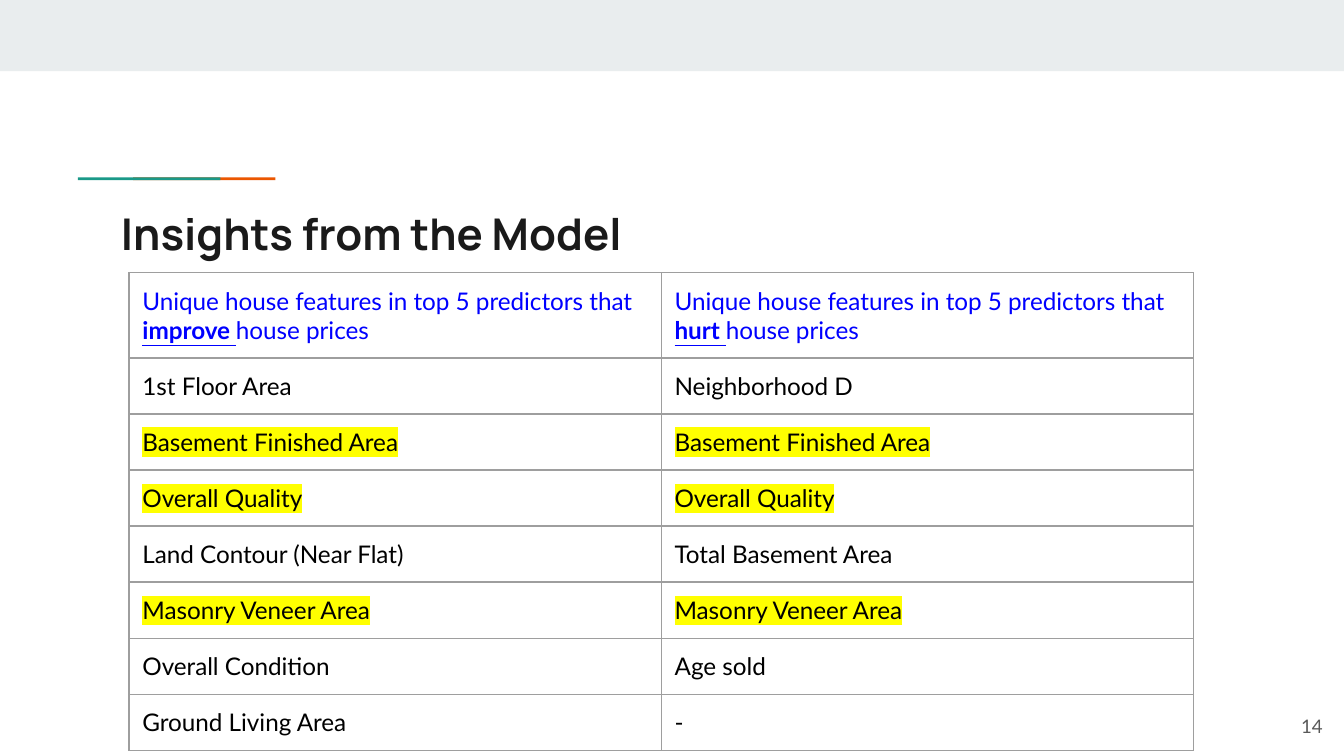
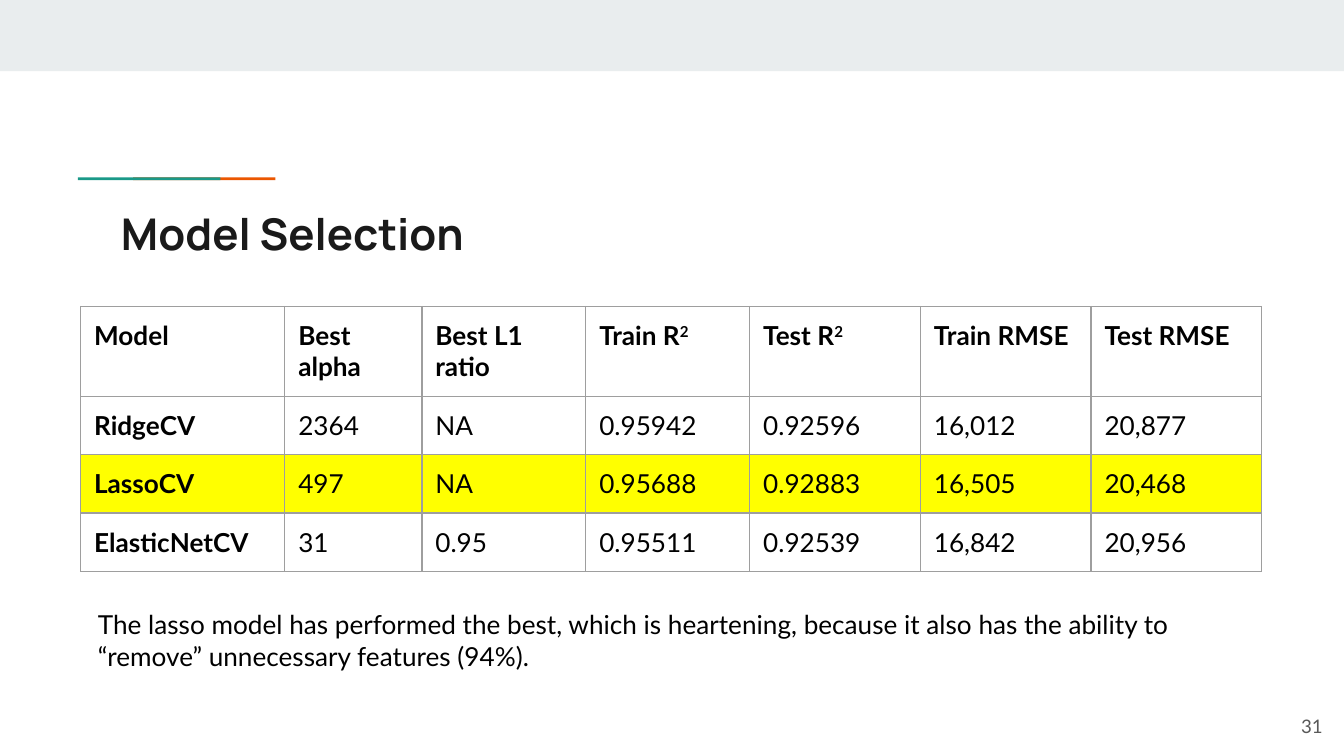
from lxml import etree
from pptx import Presentation
from pptx.dml.color import RGBColor
from pptx.enum.shapes import MSO_SHAPE
from pptx.enum.text import MSO_ANCHOR, MSO_AUTO_SIZE, PP_ALIGN
from pptx.oxml.ns import qn
from pptx.util import Inches, Pt

RECTANGLE = MSO_SHAPE.RECTANGLE
TOP, MIDDLE = MSO_ANCHOR.TOP, MSO_ANCHOR.MIDDLE
LEFT, RIGHT = PP_ALIGN.LEFT, PP_ALIGN.RIGHT
NO_AUTOFIT = MSO_AUTO_SIZE.NONE

WHITE = RGBColor(0xFF, 0xFF, 0xFF)
BAND = RGBColor(0xE9, 0xED, 0xEE)
ORANGE = RGBColor(0xEB, 0x56, 0x00)
TEAL = RGBColor(0x1A, 0x99, 0x88)
TITLE_INK = RGBColor(0x1A, 0x1A, 0x1A)
PAGE_INK = RGBColor(0x59, 0x59, 0x59)
BLACK = RGBColor(0x00, 0x00, 0x00)
BLUE = RGBColor(0x00, 0x00, 0xFF)
YELLOW = RGBColor(0xFF, 0xFF, 0x00)
GRID = RGBColor(0x9E, 0x9E, 0x9E)

TITLE_FONT, BODY_FONT = "Manrope", "Lato"
SLIDE_WIDTH = Inches(10)
SLIDE_HEIGHT = SLIDE_WIDTH * 9 // 16
INSET = Inches(0.1)

FEATURES = [
    ("1st Floor Area", "Neighborhood D"),
    ("Basement Finished Area", "Basement Finished Area"),
    ("Overall Quality", "Overall Quality"),
    ("Land Contour (Near Flat)", "Total Basement Area"),
    ("Masonry Veneer Area", "Masonry Veneer Area"),
    ("Overall Condition", "Age sold"),
    ("Ground Living Area", "-"),
]
SCORE_HEADINGS = ["Model", "Best alpha", "Best L1 ratio", "Train R²", "Test R²",
                  "Train RMSE", "Test RMSE"]
SCORES = [
    ("RidgeCV", "2364", "NA", "0.95942", "0.92596", "16,012", "20,877"),
    ("LassoCV", "497", "NA", "0.95688", "0.92883", "16,505", "20,468"),
    ("ElasticNetCV", "31", "0.95", "0.95511", "0.92539", "16,842", "20,956"),
]
BEST_MODEL = "LassoCV"
CONCLUSION = ("The lasso model has performed the best, which is heartening, because it also "
              "has the ability to “remove” unnecessary features (94%).")


def add_solid(parent, color):
    solid = etree.SubElement(parent, qn("a:solidFill"))
    etree.SubElement(solid, qn("a:srgbClr"), val=str(color))


def add_run(paragraph, text, size, color=BLACK, font=BODY_FONT, bold=False,
            underline=False, highlight=None, superscript=False):
    run = paragraph.add_run()
    run.text = text
    run.font.size = Pt(size)
    run.font.name = font
    run.font.bold = bold
    run.font.underline = underline
    run.font.color.rgb = color
    properties = run.font._element
    ink = properties.find(qn("a:solidFill"))
    if superscript:
        properties.set("baseline", "30000")
    if underline:
        rule = etree.Element(qn("a:uFill"))
        add_solid(rule, color)
        ink.addnext(rule)
    if highlight:
        marker = etree.Element(qn("a:highlight"))
        etree.SubElement(marker, qn("a:srgbClr"), val=str(highlight))
        ink.addnext(marker)


def set_frame(frame, anchor=TOP):
    frame.word_wrap = True
    frame.auto_size = NO_AUTOFIT
    frame.vertical_anchor = anchor
    frame.margin_left = frame.margin_right = INSET
    frame.margin_top = frame.margin_bottom = INSET
    return frame.paragraphs[0]


def add_bar(slide, box, color):
    bar = slide.shapes.add_shape(RECTANGLE, *map(Inches, box))
    bar.shadow.inherit = False
    bar.fill.solid()
    bar.fill.fore_color.rgb = color
    bar.line.fill.background()


def add_text(slide, box, text, size, color, align=LEFT, anchor=TOP):
    text_box = slide.shapes.add_textbox(*map(Inches, box))
    paragraph = set_frame(text_box.text_frame, anchor)
    paragraph.alignment = align
    add_run(paragraph, text, size, color)


def add_title(slide, box, text):
    title = slide.shapes.title
    title.left, title.top, title.width, title.height = map(Inches, box)
    paragraph = set_frame(title.text_frame)
    paragraph.alignment = LEFT
    add_run(paragraph, text, 23.4, TITLE_INK, TITLE_FONT, bold=True)


def add_accent(slide, left, top):
    length, thickness, step = 1.06, 0.02, 0.41
    add_bar(slide, (left + step, top, length, thickness), ORANGE)
    add_bar(slide, (left, top, length, thickness), TEAL)


def new_slide(deck, title, page):
    slide = deck.slides.add_slide(deck.slide_layouts[5])
    slide.background.fill.solid()
    slide.background.fill.fore_color.rgb = WHITE
    add_bar(slide, (0, 0, 10, 0.53), BAND)
    add_accent(slide, 0.58, 1.32)
    add_title(slide, (0.8, 1.44, 8.41, 0.59), title)
    add_text(slide, (9.34, 5.19, 0.6, 0.43), page, 10, PAGE_INK, RIGHT, MIDDLE)
    return slide


def add_grid(slide, left, top, widths, heights):
    frame = slide.shapes.add_table(len(heights), len(widths), Inches(left), Inches(top),
                                   Inches(sum(widths)), Inches(sum(heights)))
    table = frame.table
    table.first_row = table.horz_banding = False
    for column, width in zip(table.columns, widths):
        column.width = Inches(width)
    for row, height in zip(table.rows, heights):
        row.height = Inches(height)
    return table


def fill_cell(cell, runs, size, fill=None):
    cell.margin_left = cell.margin_right = INSET
    cell.margin_top = cell.margin_bottom = INSET
    cell.vertical_anchor = TOP
    properties = cell._tc.get_or_add_tcPr()
    for side in ("lnL", "lnR", "lnT", "lnB"):
        edge = etree.SubElement(properties, qn("a:" + side), w=str(Pt(0.75)))
        add_solid(edge, GRID)
    if fill:
        cell.fill.solid()
        cell.fill.fore_color.rgb = fill
    else:
        cell.fill.background()
    paragraph = cell.text_frame.paragraphs[0]
    for text, style in runs:
        add_run(paragraph, text, size, **style)


def add_feature_table(slide, left, top):
    size = 13
    table = add_grid(slide, left, top, [3.96] * 2, [0.63] + [0.41] * len(FEATURES))
    for column, effect in enumerate(("improve ", "hurt ")):
        fill_cell(table.cell(0, column), [
            ("Unique house features in top 5 predictors that ", {"color": BLUE}),
            (effect, {"color": BLUE, "bold": True, "underline": True}),
            ("house prices", {"color": BLUE}),
        ], size)
    for row, pair in enumerate(FEATURES, 1):
        shared = pair[0] == pair[1]
        for column, feature in enumerate(pair):
            style = {"highlight": YELLOW if shared else None}
            fill_cell(table.cell(row, column), [(feature, style)], size)


def heading_runs(heading):
    runs = [(heading.rstrip("²"), {"bold": True})]
    if heading.endswith("²"):
        runs.append(("2", {"bold": True, "superscript": True}))
    return runs


def add_score_table(slide, left, top):
    size = 14
    widths = [1.52, 1.02, 1.22, 1.22, 1.27, 1.27, 1.27]
    table = add_grid(slide, left, top, widths, [0.67] + [0.43] * len(SCORES))
    for column, heading in enumerate(SCORE_HEADINGS):
        fill_cell(table.cell(0, column), heading_runs(heading), size)
    for row, scores in enumerate(SCORES, 1):
        fill = YELLOW if scores[0] == BEST_MODEL else None
        for column, score in enumerate(scores):
            fill_cell(table.cell(row, column), [(score, {"bold": column == 0})], size, fill)


def main():
    deck = Presentation()
    deck.slide_width, deck.slide_height = SLIDE_WIDTH, SLIDE_HEIGHT

    insights = new_slide(deck, "Insights from the Model", "14")
    add_feature_table(insights, 0.96, 2.03)

    selection = new_slide(deck, "Model Selection", "31")
    add_score_table(selection, 0.6, 2.28)
    add_text(selection, (0.63, 4.43, 8.74, 0.67), CONCLUSION, 14, BLACK)

    deck.save("out.pptx")


if __name__ == "__main__":
    main()
